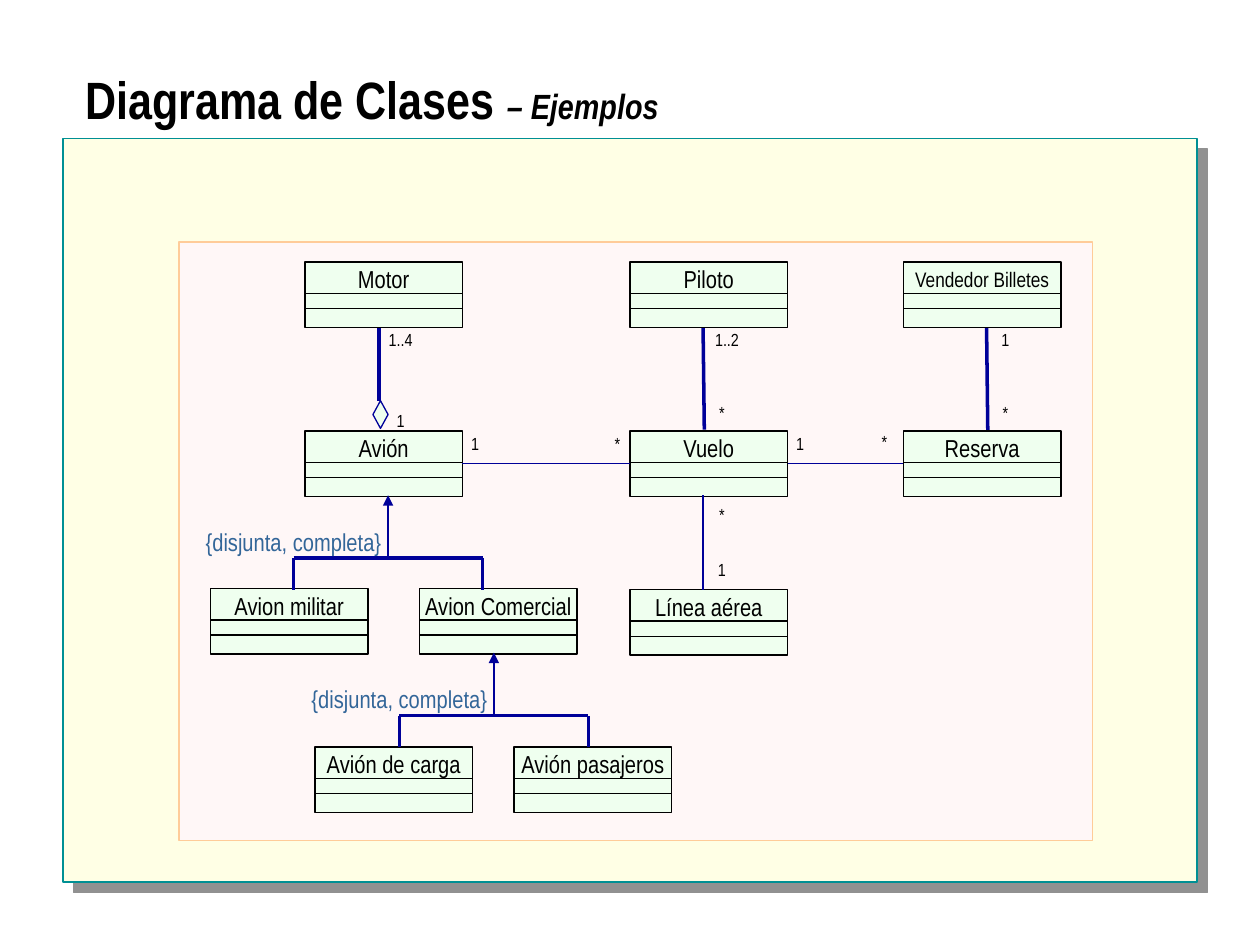
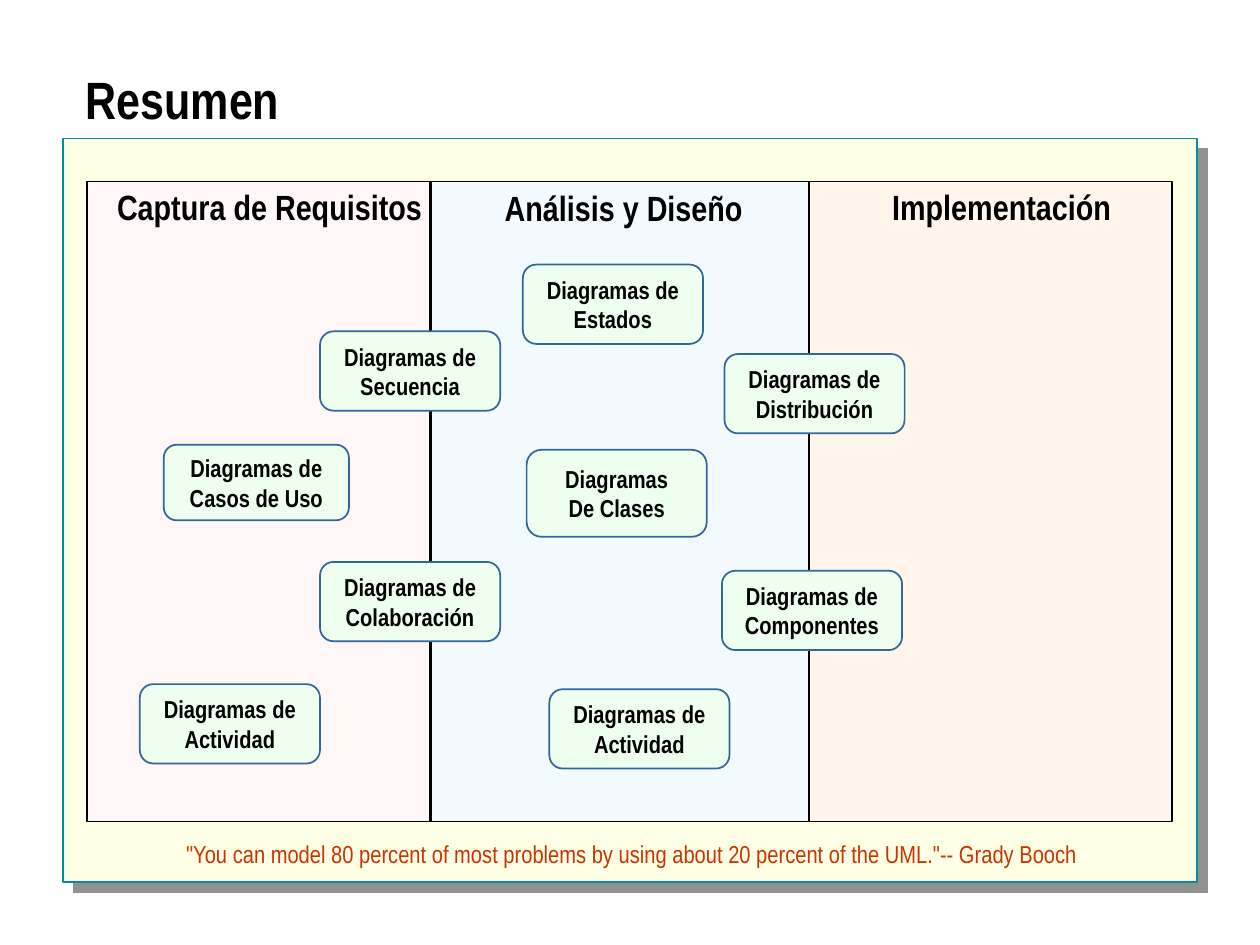
from lxml import etree
from pptx import Presentation
from pptx.dml.color import RGBColor
from pptx.enum import shapes, text
from pptx.oxml import parse_xml
from pptx.oxml.ns import nsdecls, qn
from pptx.util import Inches, Pt

FONT = "Arial Narrow"
COLORS = {
    "black": "000000", "cream": "FFFFE5", "teal": "009094", "shadow": "919191",
    "pink": "FFF7F7", "peach": "FFCC99", "mint": "EFFFEF", "navy": "000099",
    "steel": "336699", "sky": "F3FAFF", "sand": "FFF5EB", "red": "CC3300",
}
LABEL_INSETS = (0.04, 0.01)
CLASS_W = 1.25
RECT = shapes.MSO_SHAPE.RECTANGLE

CLASSES = [
    ("Motor", 2.42, 2.08), ("Piloto", 5, 2.08), ("Vendedor Billetes", 7.17, 2.08),
    ("Avión", 2.42, 3.42), ("Vuelo", 5, 3.42), ("Reserva", 7.17, 3.42),
    ("Avion militar", 1.67, 4.67), ("Avion Comercial", 3.33, 4.67),
    ("Línea aérea", 5, 4.68),
    ("Avión de carga", 2.5, 5.93), ("Avión pasajeros", 4.08, 5.93),
]
VERTICAL_LINKS = [(3.01, 2.6, 3.01, 3.18), (7.83, 2.6, 7.84, 3.43), (5.58, 2.6, 5.59, 3.41)]
STRONG_LINKS = [(3.67, 3.68, 5, 3.68), (6.25, 3.68, 7.17, 3.68), (5.58, 3.93, 5.58, 4.68)]
MULTIPLICITIES = [
    ("1..4", 2.95, 2.6), ("1", 2.95, 3.24), ("1..2", 5.54, 2.6), ("1", 7.75, 2.6),
    ("*", 5.5, 3.18), ("*", 4.67, 3.43), ("*", 5.5, 3.99), ("*", 7.75, 3.18),
    ("*", 6.79, 3.41), ("1", 6.12, 3.43), ("1", 3.54, 3.43), ("1", 5.5, 4.43),
]
PHASES = [  # name, column left, width, fill, heading left, top, width
    ("Implementación", 6.42, 2.88, "sand", 6.58, 1.42, 2.74),
    ("Análisis y Diseño", 3.42, 3, "sky", 3.58, 1.43, 2.74),
    ("Captura de Requisitos", 0.69, 2.72, "pink", 0.69, 1.42, 2.9),
]
DIAGRAMS = [
    ("Diagramas de", "Casos de Uso", 1.3, 3.53, 1.47, 0.6),
    ("Diagramas de", "Secuencia", 2.54, 2.63, 1.43, 0.63),
    ("Diagramas de", "Colaboración", 2.54, 4.46, 1.43, 0.63),
    ("Diagramas", "De Clases", 4.18, 3.57, 1.43, 0.69),
    ("Diagramas de", "Estados", 4.15, 2.1, 1.43, 0.63),
    ("Diagramas de", "Actividad", 4.36, 5.47, 1.43, 0.63),
    ("Diagramas de", "Componentes", 5.73, 4.53, 1.43, 0.63),
    ("Diagramas de", "Distribución", 5.75, 2.81, 1.43, 0.63),
    ("Diagramas de", "Actividad", 1.11, 5.43, 1.43, 0.63),
]


def rgb(name):
    return RGBColor.from_string(COLORS[name])


class Deck:
    def __init__(self):
        self.prs = Presentation()
        self.prs.slide_width, self.prs.slide_height = Inches(10), Inches(7.5)
        self.s = None

    def slide(self, title, subtitle=None):
        """Start a slide with its title and the shadowed body panel."""
        self.s = self.prs.slides.add_slide(self.prs.slide_layouts[5])
        sp = self.s.shapes.title
        sp.left, sp.top, sp.width, sp.height = map(Inches, (0.58, 0.58, 8.83, 0.5))
        tf = sp.text_frame
        frame = {"auto_size": text.MSO_AUTO_SIZE.NONE, "word_wrap": True,
                 "vertical_anchor": text.MSO_ANCHOR.TOP}
        for name, value in frame.items():
            setattr(tf, name, value)
        p = tf.paragraphs[0]
        p.alignment, p.line_spacing = text.PP_ALIGN.LEFT, 0.8
        self.run(p, title, size=30, bold=True)
        if subtitle:
            self.run(p, subtitle, size=20, bold=True, italic=True)
        self.panel()

    def panel(self):
        sp = self.shape(RECT, (0.5, 1.1, 9, 5.9), "cream", "teal", 1)
        effects = sp._element.spPr.find(qn("a:effectLst"))
        effects.append(parse_xml(
            f'<a:outerShdw {nsdecls("a")} blurRad="0" dist="{Pt(8.5)}" dir="2700000" '
            f'algn="ctr" rotWithShape="0"><a:srgbClr val="{COLORS["shadow"]}"/>'
            '</a:outerShdw>'))

    def run(self, p, words, size, color="black", bold=False, italic=False):
        r = p.add_run()
        r.text = words
        style = {"name": FONT, "size": Pt(size), "bold": bold, "italic": italic}
        for name, value in style.items():
            setattr(r.font, name, value)
        r.font.color.rgb = rgb(color)

    def paragraphs(self, sp, lines, insets=(0.1, 0.05), wrap=True,
                   anchor=text.MSO_ANCHOR.TOP, **font):
        """Fill a shape with centred paragraphs."""
        tf = sp.text_frame
        dx, dy = map(Inches, insets)
        frame = {"word_wrap": wrap, "vertical_anchor": anchor, "margin_left": dx,
                 "margin_right": dx, "margin_top": dy, "margin_bottom": dy}
        for name, value in frame.items():
            setattr(tf, name, value)
        for i, line in enumerate(lines):
            p = tf.add_paragraph() if i else tf.paragraphs[0]
            p.alignment = text.PP_ALIGN.CENTER
            self.run(p, line, **font)

    def label(self, words, box, **style):
        sp = self.s.shapes.add_textbox(*map(Inches, box))
        self.paragraphs(sp, [words], **style)

    def shape(self, kind, box, fill, line, width):
        sp = self.s.shapes.add_shape(kind, *map(Inches, box))
        sp.shadow.inherit = False
        sp.fill.solid()
        sp.fill.fore_color.rgb = rgb(fill)
        sp.line.color.rgb = rgb(line)
        sp.line.width = Pt(width)
        return sp

    def line(self, ends, color="navy", width=0, arrow=False):
        c = self.s.shapes.add_connector(shapes.MSO_CONNECTOR.STRAIGHT, *map(Inches, ends))
        c.line.color.rgb = rgb(color)
        c.line.width = Pt(width)
        props = c._element.spPr
        if arrow:
            etree.SubElement(props.find(qn("a:ln")), qn("a:tailEnd"), type="triangle")
        etree.SubElement(props, qn("a:effectLst"))

    def uml_class(self, name, x, y):
        """Draw a class as a name box over two empty compartments."""
        sp = self.shape(RECT, (x, y, CLASS_W, 0.27), "mint", "black", 0.75)
        self.paragraphs(sp, [name], insets=LABEL_INSETS, anchor=text.MSO_ANCHOR.MIDDLE,
                        size=12 if len(name) > 15 else 14)
        self.shape(RECT, (x, y + 0.25, CLASS_W, 0.27), "mint", "black", 0.75)
        self.line((x, y + 0.37, x + CLASS_W, y + 0.37), "black", 0.75)

    def inheritance(self, x, y):
        """Join two subclasses under a bar and point up to their parent."""
        span = 1.5
        middle = x + span / 2
        self.line((x, y, x + span, y))
        for child in (x, x + span):
            self.line((child, y + 0.25, child, y))
        self.line((middle, y, middle, y - 0.5), width=0.75, arrow=True)
        self.label("{disjunta, completa}", (middle - span, y - 0.25, span, 0.23),
                   insets=(0, 0), size=14, color="steel")


def class_slide(deck):
    deck.slide("Diagrama de Clases ", "– Ejemplos")
    deck.shape(RECT, (1.42, 1.92, 7.25, 4.75), "pink", "peach", 0.75)
    for ends in VERTICAL_LINKS:
        deck.line(ends)
    deck.shape(shapes.MSO_SHAPE.DIAMOND, (2.96, 3.18, 0.12, 0.22), "mint", "navy", 0)
    for uml_class in CLASSES:
        deck.uml_class(*uml_class)
    deck.inheritance(3.17, 5.68)
    deck.inheritance(2.33, 4.43)
    for ends in STRONG_LINKS:
        deck.line(ends, width=0.75)
    for words, x, y in MULTIPLICITIES:
        deck.label(words, (x, y, 0.46, 0.19), insets=LABEL_INSETS, size=10)


def summary_slide(deck):
    deck.slide("Resumen")
    for _, x, width, fill, *_ in PHASES:
        deck.shape(RECT, (x, 1.44, width, 5.08), fill, "black", 1)
    for name, _, _, _, x, y, width in PHASES:
        deck.label(name, (x, y, width, 0.43), size=20, bold=True)
    deck.label('"You can model 80 percent of most problems by using about '
               '20 percent of the UML."-- Grady Booch',
               (1.37, 6.61, 7.29, 0.33), wrap=False, size=14, color="red")
    for first, second, *box in DIAGRAMS:
        sp = deck.shape(shapes.MSO_SHAPE.ROUNDED_RECTANGLE, box, "mint", "steel", 1)
        sp.adjustments[0] = 0.17
        deck.paragraphs(sp, [first, second], wrap=False, anchor=text.MSO_ANCHOR.MIDDLE,
                        size=14, bold=True)


def main():
    deck = Deck()
    class_slide(deck)
    summary_slide(deck)
    deck.prs.save("out.pptx")


if __name__ == "__main__":
    main()
